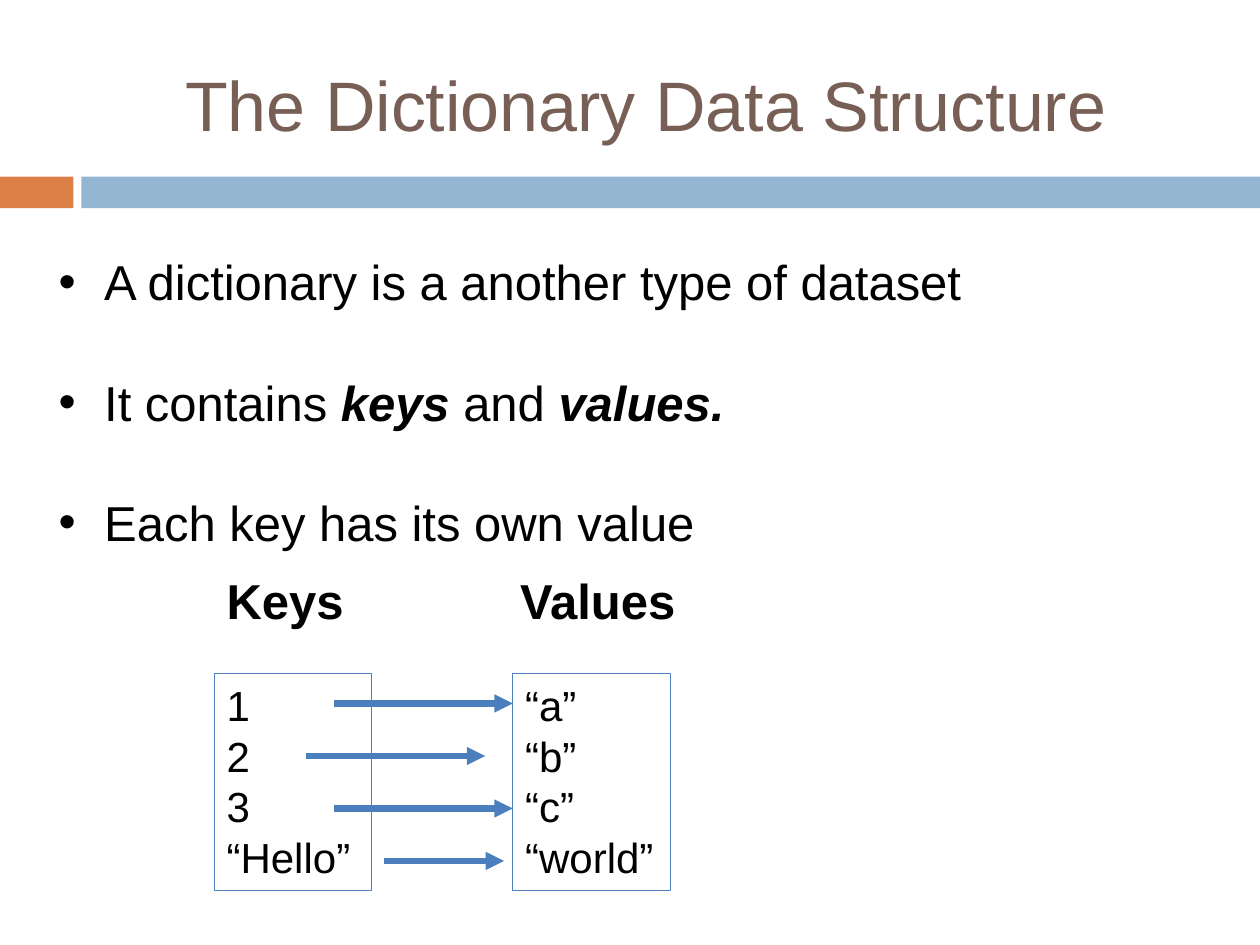
from dataclasses import dataclass

from lxml.etree import SubElement
from pptx import Presentation
from pptx.dml.color import RGBColor
from pptx.enum.shapes import MSO_CONNECTOR, MSO_SHAPE
from pptx.enum.text import MSO_ANCHOR, PP_ALIGN
from pptx.oxml.ns import qn
from pptx.util import Pt


@dataclass(frozen=True)
class Theme:
    font: str = "Arial"
    title_color: str = "775F55"
    text_color: str = "000000"
    accent: str = "DD8047"
    band: str = "94B6D2"
    outline: str = "4F81BD"
    arrow: str = "4B7EBC"
    title_size: float = 40
    body_size: float = 28
    entry_size: float = 24


@dataclass(frozen=True)
class Area:
    left: float
    top: float
    width: float
    height: float

    def lengths(self):
        return Pt(self.left), Pt(self.top), Pt(self.width), Pt(self.height)


@dataclass(frozen=True)
class Span:
    text: str
    bold: bool = False
    italic: bool = False


@dataclass(frozen=True)
class Column:
    heading: str
    heading_area: Area
    left: float
    entries: tuple[str, ...]


@dataclass(frozen=True)
class Arrow:
    start: float
    end: float


THEME = Theme()
BULLET_INDENT = 26
BULLET_GAP = 35
COLUMN_TOP, COLUMN_WIDTH, COLUMN_HEIGHT = 385, 90, 124
ARROW_TOP, ARROW_STEP = 402, 30

BULLETS = (
    (Span("A dictionary is a another type of dataset"),),
    (Span("It contains "), Span("keys", True, True), Span(" and "),
     Span("values.", True, True)),
    (Span("Each key has its own value"),),
)
COLUMNS = (
    Column("Keys", Area(122.4, 322.5, 90, 41), 122.4, ("1", "2", "3", "“Hello”")),
    Column("Values", Area(290.2, 322.5, 133, 41), 293, ("“a”", "“b”", "“c”", "“world”")),
)
ARROWS = (Arrow(190.8, 293), Arrow(175, 277.2), Arrow(190.8, 293), Arrow(219.6, 288))


def add_rectangle(page, area: Area, fill: str | None = None, line: str | None = None):
    box = page.shapes.add_shape(MSO_SHAPE.RECTANGLE, *area.lengths())
    box.shadow.inherit = False
    if fill:
        box.fill.solid()
        box.fill.fore_color.rgb = RGBColor.from_string(fill)
    else:
        box.fill.background()
    if line:
        box.line.color.rgb = RGBColor.from_string(line)
        box.line.width = Pt(0.75)
    else:
        box.line.fill.background()
    return box


def add_text_box(page, area: Area):
    box = page.shapes.add_textbox(*area.lengths())
    box.text_frame.word_wrap = True
    return box


def write(box, lines, size: float, color: str = THEME.text_color,
          align: PP_ALIGN = PP_ALIGN.LEFT) -> None:
    """Fill the box with one paragraph for each line of spans."""
    frame = box.text_frame
    for index, spans in enumerate(lines):
        para = frame.add_paragraph() if index else frame.paragraphs[0]
        para.alignment = align
        for span in spans:
            run = para.add_run()
            run.text = span.text
            run.font.name = THEME.font
            run.font.size = Pt(size)
            run.font.bold = span.bold
            run.font.italic = span.italic
            run.font.color.rgb = RGBColor.from_string(color)


def add_bullets(box) -> None:
    for index, para in enumerate(box.text_frame.paragraphs):
        para.space_before = Pt(BULLET_GAP if index else 0)
        properties = para._p.get_or_add_pPr()
        properties.set("marL", str(Pt(BULLET_INDENT)))
        properties.set("indent", str(-Pt(BULLET_INDENT)))
        SubElement(properties, qn("a:buFont")).set("typeface", THEME.font)
        SubElement(properties, qn("a:buChar")).set("char", "•")


def add_title(page) -> None:
    box = add_text_box(page, Area(48, 18, 642, 78))
    box.text_frame.vertical_anchor = MSO_ANCHOR.MIDDLE
    box.text_frame.margin_top = Pt(8)
    write(box, [[Span("The Dictionary Data Structure")]], THEME.title_size,
          THEME.title_color, PP_ALIGN.CENTER)


def add_body(page) -> None:
    box = add_text_box(page, Area(30, 138, 654, 244))
    frame = box.text_frame
    frame.margin_left = frame.margin_right = frame.margin_bottom = Pt(3.6)
    frame.margin_top = Pt(6)
    write(box, BULLETS, THEME.body_size)
    add_bullets(box)


def add_column(page, column: Column) -> None:
    heading = add_text_box(page, column.heading_area)
    write(heading, [[Span(column.heading, bold=True)]], THEME.body_size)
    area = Area(column.left, COLUMN_TOP, COLUMN_WIDTH, COLUMN_HEIGHT)
    box = add_rectangle(page, area, line=THEME.outline)
    box.text_frame.word_wrap = True
    box.text_frame.vertical_anchor = MSO_ANCHOR.TOP
    write(box, [[Span(entry)] for entry in column.entries], THEME.entry_size)


def add_arrow(page, arrow: Arrow, top: float) -> None:
    connector = page.shapes.add_connector(
        MSO_CONNECTOR.STRAIGHT, Pt(arrow.start), Pt(top), Pt(arrow.end), Pt(top))
    connector.line.color.rgb = RGBColor.from_string(THEME.arrow)
    connector.line.width = Pt(3.5)
    SubElement(connector.line._get_or_add_ln(), qn("a:tailEnd")).set("type", "triangle")
    SubElement(connector._element.spPr, qn("a:effectLst"))


def main() -> None:
    deck = Presentation()
    deck.slide_width, deck.slide_height = Pt(720), Pt(540)
    page = deck.slides.add_slide(deck.slide_layouts[6])
    add_rectangle(page, Area(0, 101, 42, 18), fill=THEME.accent)
    add_rectangle(page, Area(46.5, 101, 673.5, 18), fill=THEME.band)
    add_title(page)
    add_body(page)
    for column in COLUMNS:
        add_column(page, column)
    for row, arrow in enumerate(ARROWS):
        add_arrow(page, arrow, ARROW_TOP + row * ARROW_STEP)
    deck.save("out.pptx")


if __name__ == "__main__":
    main()
